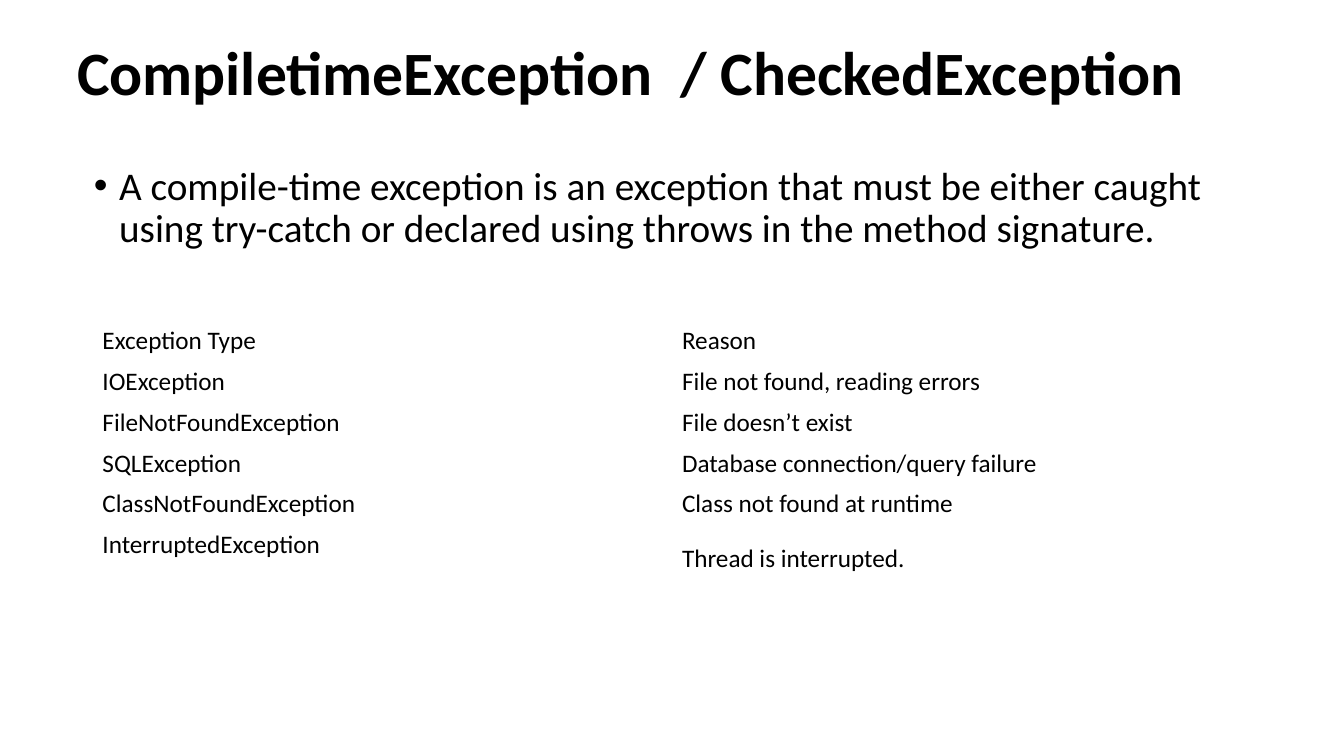
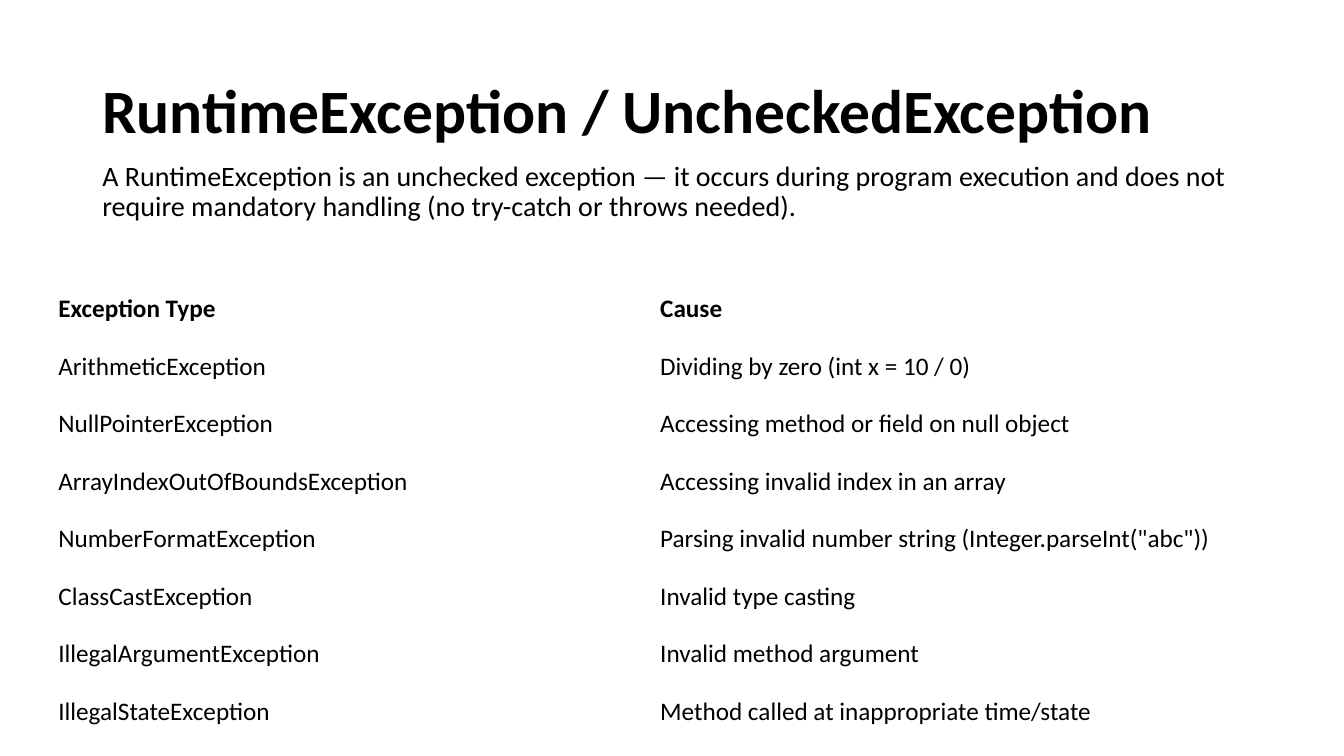
from lxml.etree import SubElement
from pptx import Presentation
from pptx.dml.color import RGBColor
from pptx.enum.text import MSO_ANCHOR
from pptx.oxml.ns import qn
from pptx.util import Inches, Pt

COLORS = {"text": "000000", "background": "FFFFFF"}
FONT = "Calibri"
SLIDE_WIDTH, SLIDE_HEIGHT = Inches(13.333), Inches(7.5)
GRID_COLUMNS, GRID_ROWS = 160, 90
CONTENT_WIDTH, TITLE_HEIGHT = 138, 17.4

CHECKED = [
    ("Exception Type", "Reason"),
    ("IOException", "File not found, reading errors"),
    ("FileNotFoundException", "File doesn’t exist"),
    ("SQLException", "Database connection/query failure"),
    ("ClassNotFoundException", "Class not found at runtime"),
    ("InterruptedException", "Thread is interrupted."),
]
UNCHECKED = [
    ("Exception Type", "Cause"),
    ("ArithmeticException", "Dividing by zero (int x = 10 / 0)"),
    ("NullPointerException", "Accessing method or field on null object"),
    ("ArrayIndexOutOfBoundsException", "Accessing invalid index in an array"),
    ("NumberFormatException", 'Parsing invalid number string (Integer.parseInt("abc"))'),
    ("ClassCastException", "Invalid type casting"),
    ("IllegalArgumentException", "Invalid method argument"),
    ("IllegalStateException", "Method called at inappropriate time/state"),
]


def across(columns):
    """Return the width of a number of grid columns."""
    return round(SLIDE_WIDTH * columns / GRID_COLUMNS)


def down(rows):
    """Return the height of a number of grid rows."""
    return round(SLIDE_HEIGHT * rows / GRID_ROWS)


def write_text(frame, text, size=18, bold=False, line_spacing=None, space_before=None):
    """Write one formatted paragraph into a text frame and return it."""
    paragraph = frame.paragraphs[0]
    paragraph.line_spacing = line_spacing
    if space_before is not None:
        paragraph.space_before = Pt(space_before)
    run = paragraph.add_run()
    run.text = text
    run.font.name = FONT
    run.font.size = Pt(size)
    run.font.bold = bold
    run.font.color.rgb = RGBColor.from_string(COLORS["text"])
    return paragraph


def add_text(slide, text, left, top, height, anchor=MSO_ANCHOR.TOP, **text_format):
    """Add a wrapped text box of the content width and return its paragraph."""
    shape = slide.shapes.add_textbox(
        across(left), down(top), across(CONTENT_WIDTH), down(height)
    )
    shape.text_frame.word_wrap = True
    shape.text_frame.vertical_anchor = anchor
    return write_text(shape.text_frame, text, line_spacing=0.9, **text_format)


def add_title(slide, text, left, top):
    """Add a slide title."""
    add_text(slide, text, left, top, TITLE_HEIGHT, MSO_ANCHOR.MIDDLE, size=44, bold=True)


def add_bullet(paragraph):
    """Give a paragraph a round bullet with a hanging indent."""
    properties = paragraph._p.get_or_add_pPr()
    properties.set("marL", str(Inches(0.25)))
    properties.set("indent", str(-Inches(0.25)))
    SubElement(properties, qn("a:buFont"), typeface="Arial")
    SubElement(properties, qn("a:buChar"), char="•")


def add_exception_table(slide, records, left, top, width, row_heights, bold_header=False):
    """Add a plain two-column table of exceptions and return it."""
    table = slide.shapes.add_table(
        len(records), 2, across(left), down(top), across(width), down(sum(row_heights))
    ).table
    table.first_row = False
    table.horz_banding = False
    for row_index, (record, height) in enumerate(zip(records, row_heights)):
        table.rows[row_index].height = down(height)
        for column_index, text in enumerate(record):
            cell = table.cell(row_index, column_index)
            cell.fill.background()
            cell.vertical_anchor = MSO_ANCHOR.MIDDLE
            write_text(cell.text_frame, text, bold=bold_header and row_index == 0)
    return table


def add_slide(presentation):
    """Add a blank slide with the shared background."""
    slide = presentation.slides.add_slide(presentation.slide_layouts[6])
    slide.background.fill.solid()
    slide.background.fill.fore_color.rgb = RGBColor.from_string(COLORS["background"])
    return slide


def build_checked(presentation):
    """Build the slide on checked exceptions."""
    slide = add_slide(presentation)
    add_title(slide, "CompiletimeException  / CheckedException", 8, 0.24)
    definition = add_text(
        slide,
        "A compile-time exception is an exception that must be either caught "
        "using try-catch or declared using throws in the method signature.",
        10, 19.2, 12, size=28, space_before=10,
    )
    add_bullet(definition)
    heights = [4.85] * (len(CHECKED) - 1) + [8.15]
    table = add_exception_table(slide, CHECKED, 11, 38.2, CONTENT_WIDTH, heights)
    table.cell(len(CHECKED) - 1, 0).vertical_anchor = MSO_ANCHOR.TOP


def build_unchecked(presentation):
    """Build the slide on unchecked exceptions."""
    slide = add_slide(presentation)
    add_title(slide, "RuntimeException / UncheckedException", 11, 4.8)
    add_text(
        slide,
        "A RuntimeException is an unchecked exception — it occurs during program "
        "execution and does not require mandatory handling (no try-catch or throws needed).",
        11, 18.7, 12, size=20, space_before=10,
    )
    heights = [6.85] * len(UNCHECKED)
    add_exception_table(slide, UNCHECKED, 5.75, 33.4, 143.3, heights, bold_header=True)


def main():
    """Build and save the presentation."""
    presentation = Presentation()
    presentation.slide_width = SLIDE_WIDTH
    presentation.slide_height = SLIDE_HEIGHT
    build_checked(presentation)
    build_unchecked(presentation)
    presentation.save("out.pptx")


if __name__ == "__main__":
    main()
